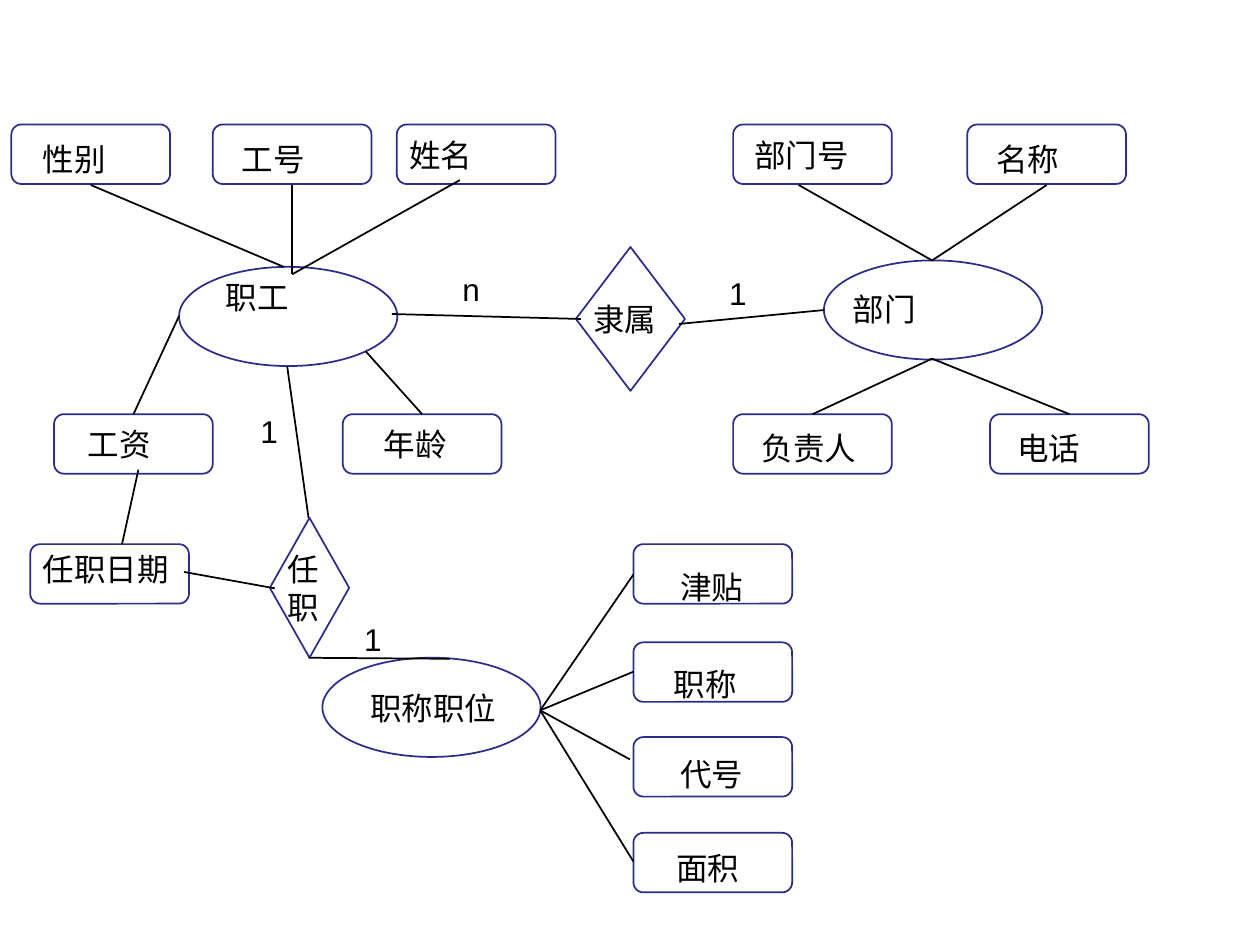
import pptx
import pptx.util
import pptx.dml.color
import pptx.enum.shapes
import pptx.enum.text
import pptx.oxml.ns
import lxml.etree

Cm = pptx.util.Cm
SHAPES = pptx.enum.shapes.MSO_SHAPE
OUTLINE, BLACK, WHITE = "2D2D89", "000000", "FFFFFF"
ENTITY_SIZE = (4.4, 2.0)
ATTRIBUTE_SIZE = (3.2, 1.2)


def color(value):
    return pptx.dml.color.RGBColor.from_string(value)


def add_text(page, left, top, text, width=2.57, size=18, font="Arial", ink=BLACK):
    """Place left-aligned text, one paragraph for each line."""
    lines = text.split("\n")
    height = 0.24 + 0.77 * len(lines)
    box = page.shapes.add_textbox(Cm(left), Cm(top), Cm(width), Cm(height))
    frame = box.text_frame
    frame.word_wrap = True
    frame.auto_size = pptx.enum.text.MSO_AUTO_SIZE.SHAPE_TO_FIT_TEXT
    for index, line in enumerate(lines):
        para = frame.add_paragraph() if index else frame.paragraphs[0]
        span = para.add_run()
        span.text = line
        span.font.size = pptx.util.Pt(size)
        span.font.name = font
        span.font.color.rgb = color(ink)


def add_node(page, kind, left, top, size, text, shift, text_width=2.57):
    """Draw an outlined shape with its caption shifted from its corner."""
    shape = page.shapes.add_shape(kind, Cm(left), Cm(top), Cm(size[0]), Cm(size[1]))
    shape.shadow.inherit = False
    shape.fill.solid()
    shape.fill.fore_color.rgb = color(WHITE)
    shape.line.color.rgb = color(OUTLINE)
    shape.line.width = pptx.util.Pt(1)
    add_text(page, left + shift[0], top + shift[1], text, width=text_width)


def add_attributes(page, box, attributes):
    for text, x, y, shift, width in attributes:
        add_node(page, SHAPES.ROUNDED_RECTANGLE, box[0] + x, box[1] + y,
                 ATTRIBUTE_SIZE, text, shift, width)


def add_links(page, box, links):
    """Draw straight lines between points relative to the box."""
    left, top = box
    for x1, y1, x2, y2 in links:
        link = page.shapes.add_connector(
            pptx.enum.shapes.MSO_CONNECTOR.STRAIGHT,
            Cm(left + x1), Cm(top + y1), Cm(left + x2), Cm(top + y2))
        link.line.color.rgb = color(BLACK)
        link.line.width = pptx.util.Pt(1)
        lxml.etree.SubElement(link._element.spPr, pptx.oxml.ns.qn("a:effectLst"))


def draw_employee(page, box):
    left, top = box
    add_node(page, SHAPES.OVAL, left + 3.38, top + 2.87, ENTITY_SIZE, "职工", (0.69, 0.1), 3.5)
    add_attributes(page, box, [
        ("性别", 0, 0, (0.38, 0.18), 2.57),
        ("工号", 4.06, 0, (0.33, 0.18), 2.57),
        ("姓名", 7.77, 0, (0, 0.1), 2.57),
        ("工资", 0.86, 5.84, (0.43, 0.1), 2.57),
        ("年龄", 6.68, 5.84, (0.58, 0.1), 2.57),
    ])
    add_links(page, box, [
        (1.6, 1.22, 5.49, 2.87),
        (5.66, 1.22, 5.66, 3.02),
        (9.04, 1.12, 5.66, 3.02),
        (2.46, 5.84, 3.38, 3.86),
        (7.14, 4.57, 8.28, 5.84),
    ])


def draw_department(page, box):
    left, top = box
    add_node(page, SHAPES.OVAL, left + 1.83, top + 2.74, ENTITY_SIZE, "部门", (0.33, 0.48))
    add_attributes(page, box, [
        ("部门号", 0, 0, (0.18, 0.1), 2.57),
        ("名称", 4.72, 0, (0.33, 0.18), 2.57),
        ("负责人", 0, 5.84, (0.33, 0.18), 2.57),
        ("电话", 5.18, 5.84, (0.3, 0.18), 2.57),
    ])
    middle, upper, lower = 4.01, 2.74, 4.72
    add_links(page, box, [
        (1.32, 1.22, middle, upper),
        (6.32, 1.22, middle, upper),
        (1.6, 5.84, middle, lower),
        (middle, lower, 6.78, 5.84),
    ])


def draw_position(page, box):
    left, top = box
    add_node(page, SHAPES.OVAL, left, top + 2.29, ENTITY_SIZE, "职称职位", (0.71, 0.51), 4.5)
    column = 6.27
    add_attributes(page, box, [
        ("津贴", column, 0, (0.69, 0.36), 2.44),
        ("职称", column, 1.98, (0.56, 0.33), 2.57),
        ("代号", column, 3.89, (0.69, 0.23), 2.03),
        ("面积", column, 5.82, (0.61, 0.2), 1.93),
    ])
    ends = [(column, 0.61), (column, 2.57), (6.2, 4.34), (column, 6.4)]
    add_links(page, box, [(4.39, 3.35, x, y) for x, y in ends])


def draw_membership(page, box):
    left, top = box
    add_node(page, SHAPES.DIAMOND, left + 3.71, top, (2.2, 2.9), "隶属", (0.1, 0.94), 2.84)
    add_links(page, box, [(0, 1.35, 3.81, 1.45), (5.79, 1.55, 8.71, 1.27)])
    add_text(page, left + 1.17, top + 0.33, "n", width=2.41)
    add_text(page, left + 6.55, top + 0.41, "1", width=2.06)


def draw_appointment(page, box):
    left, top = box
    add_node(page, SHAPES.DIAMOND, left + 4.83, top + 3.05, (1.6, 2.82),
             "任\n职", (0.1, 0.53), 1.37)
    add_attributes(page, box, [("任职日期", 0, 3.58, (0, 0), 3.68)])
    add_links(page, box, [
        (5.18, 0, 5.61, 3.05),
        (3.1, 4.14, 4.93, 4.47),
        (1.85, 3.58, 2.18, 2.08),
        (5.61, 5.87, 8.46, 5.89),
    ])
    add_text(page, left + 4.39, top + 0.79, "1", width=1.1)
    add_text(page, left + 6.48, top + 4.98, "1", width=1.22)


def main():
    deck = pptx.Presentation()
    deck.slide_width, deck.slide_height = Cm(25.4), Cm(19.05)
    page = deck.slides.add_slide(deck.slide_layouts[6])
    # Entities with their attributes
    draw_employee(page, (0.23, 2.51))
    draw_department(page, (14.78, 2.51))
    draw_position(page, (6.5, 10.97))
    # Relationships between the entities
    draw_membership(page, (7.9, 4.98))
    draw_appointment(page, (0.61, 7.39))
    deck.save("out.pptx")


if __name__ == "__main__":
    main()
